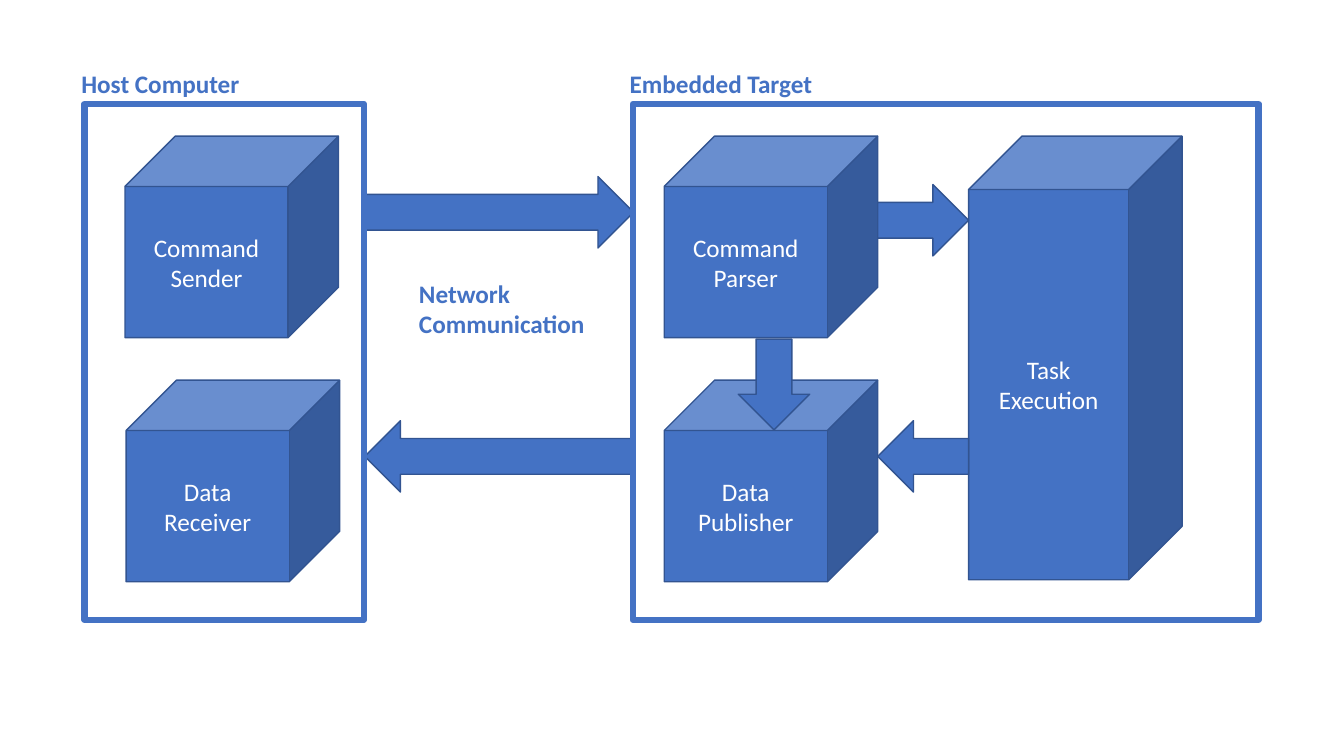
from pptx import Presentation
from pptx import util as u
from pptx.dml import color
from pptx.enum import shapes, text

COLORS = {"blue": "4472C4", "edge": "325491", "white": "FFFFFF"}
CUBE_WIDTH, CUBE_HEIGHT = 5.38, 5.08
ARROW_HEIGHT = 1.8
TOP_ROW, BOTTOM_ROW = 0.81, 6.96


def rgb(name):
    return color.RGBColor.from_string(COLORS[name])


def write(shape, content, ink="white", bold=False, align=text.PP_ALIGN.CENTER,
          anchor=text.MSO_ANCHOR.MIDDLE, wrap=True):
    frame = shape.text_frame
    frame.word_wrap = wrap
    frame.vertical_anchor = anchor
    frame.text = content
    for para in frame.paragraphs:
        para.alignment = align
        for span in para.runs:
            span.font.name = "Calibri"
            span.font.size = u.Pt(18)
            span.font.bold = bold
            span.font.color.rgb = rgb(ink)


def add_preset(page, kind, left, top, width, height, fill="blue", line="edge", weight=1):
    shape = page.shapes.add_shape(kind, *map(u.Cm, (left, top, width, height)))
    shape.shadow.inherit = False
    if fill:
        shape.fill.solid()
        shape.fill.fore_color.rgb = rgb(fill)
    else:
        shape.fill.background()
    shape.line.color.rgb = rgb(line)
    shape.line.width = u.Pt(weight)
    return shape


def add_cube(page, content, left, top, height=CUBE_HEIGHT):
    cube = add_preset(page, shapes.MSO_SHAPE.CUBE, left, top, CUBE_WIDTH, height)
    write(cube, content)


def add_arrow(page, left, top, width, rotation=0):
    arrow = add_preset(page, shapes.MSO_SHAPE.RIGHT_ARROW, left, top, width, ARROW_HEIGHT)
    arrow.rotation = rotation


def add_label(page, content, left, top, width, height=1.02):
    label = page.shapes.add_textbox(*map(u.Cm, (left, top, width, height)))
    write(label, content, ink="blue", bold=True, align=text.PP_ALIGN.LEFT,
          anchor=text.MSO_ANCHOR.TOP, wrap=False)
    label.text_frame.auto_size = text.MSO_AUTO_SIZE.SHAPE_TO_FIT_TEXT


def add_frame(page, title, title_width, box):
    left, top = box[:2]
    add_preset(page, shapes.MSO_SHAPE.RECTANGLE, *box, fill=None, line="blue", weight=4.5)
    add_label(page, title, left - 0.33, top - 1.02, title_width)


def build_network(page, box):
    left, top, width, height = box
    add_arrow(page, left, top, width)
    add_arrow(page, left, top + height - ARROW_HEIGHT, width, 180)
    add_label(page, "Network\nCommunication", left + 1.12, top + 2.43, 4.72, 1.8)


def build_host(page, box):
    left, top = box[:2]
    add_cube(page, "Command\nSender", left + 1.02, top + TOP_ROW)
    add_cube(page, "Data\nReceiver", left + 1.05, top + BOTTOM_ROW)
    add_frame(page, "Host Computer", 4.52, box)


def build_target(page, box):
    left, top = box[:2]
    cube_left, task_left = left + 0.79, left + 8.46
    gap_left = cube_left + CUBE_WIDTH
    gap = task_left - gap_left
    add_frame(page, "Embedded Target", 5.13, box)
    add_cube(page, "Command Parser", cube_left, top + TOP_ROW)
    add_cube(page, "Data Publisher", cube_left, top + BOTTOM_ROW)
    add_cube(page, "Task Execution", task_left, top + TOP_ROW, 11.18)
    add_arrow(page, gap_left, top + 2.03, gap)
    add_arrow(page, gap_left, top + 7.98, gap, 180)
    add_arrow(page, left + 2.41, top + 6.17, gap, 90)


deck = Presentation()
deck.slide_width, deck.slide_height = u.Cm(33.87), u.Cm(19.05)
page = deck.slides.add_slide(deck.slide_layouts[6])
build_network(page, (9.19, 4.45, 6.78, 7.95))
build_host(page, (2.13, 2.62, 7.04, 13))
build_target(page, (15.95, 2.62, 15.77, 13))
deck.save("out.pptx")
